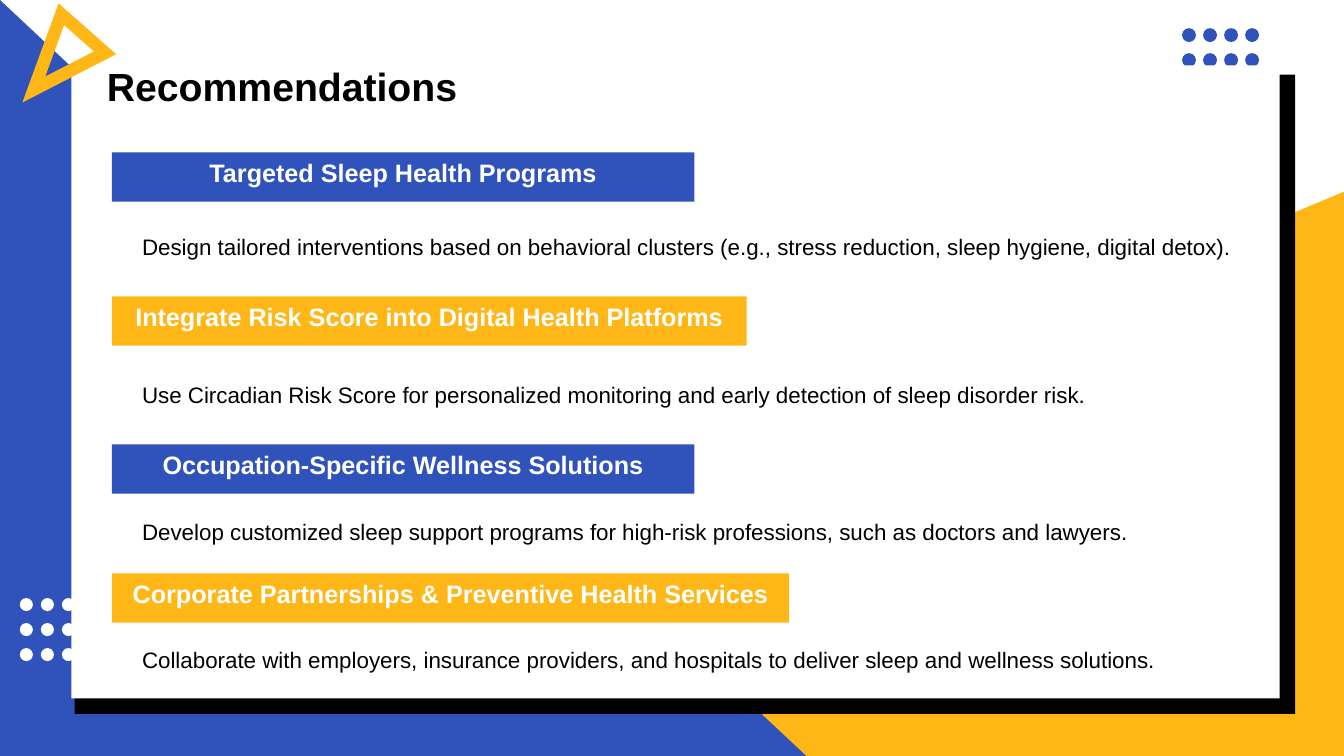
from lxml.etree import SubElement
from pptx import Presentation
from pptx.dml.color import RGBColor
from pptx.enum.shapes import MSO_SHAPE
from pptx.enum.text import MSO_ANCHOR, MSO_AUTO_SIZE, PP_ALIGN
from pptx.oxml.ns import qn
from pptx.util import Cm, Pt

BLUE = RGBColor(0x2F, 0x53, 0xBA)
YELLOW = RGBColor(0xFF, 0xB7, 0x17)
WHITE = RGBColor(0xFF, 0xFF, 0xFF)
BLACK = RGBColor(0x00, 0x00, 0x00)
FONT = "Arial"
SLIDE_WIDTH, SLIDE_HEIGHT = 33.87, 19.05

# heading, banner top, banner width, colour, advice, advice top, advice width
RECOMMENDATIONS = [
    ("Targeted Sleep Health Programs", 3.84, 14.68, BLUE,
     "Design tailored interventions based on behavioral clusters "
     "(e.g., stress reduction, sleep hygiene, digital detox).", 5.74, 28.37),
    ("Integrate Risk Score into Digital Health Platforms", 7.47, 16, YELLOW,
     "Use Circadian Risk Score for personalized monitoring "
     "and early detection of sleep disorder risk.", 9.47, 25.9),
    ("Occupation-Specific Wellness Solutions", 11.2, 14.68, BLUE,
     "Develop customized sleep support programs for high-risk professions, "
     "such as doctors and lawyers.", 12.93, 26.8),
    ("Corporate Partnerships & Preventive Health Services", 14.45, 17.07, YELLOW,
     "Collaborate with employers, insurance providers, and hospitals "
     "to deliver sleep and wellness solutions.", 16.15, 27.2),
]


def paint(shape, colour):
    """Give the shape a flat fill with no outline or shadow."""
    shape.shadow.inherit = False
    shape.fill.solid()
    shape.fill.fore_color.rgb = colour
    shape.line.fill.background()


def add_filled(shapes, kind, left, top, width, height, colour):
    shape = shapes.add_shape(kind, Cm(left), Cm(top), Cm(width), Cm(height))
    paint(shape, colour)
    return shape


def add_corner(slide, points, colour):
    first, *others = [(Cm(x), Cm(y)) for x, y in points]
    builder = slide.shapes.build_freeform(*first)
    builder.add_line_segments(others, close=True)
    paint(builder.convert_to_shape(), colour)


def add_dots(slide, left, top, columns, rows, size, colour):
    group = slide.shapes.add_group_shape()
    for row in range(rows):
        for column in range(columns):
            add_filled(group.shapes, MSO_SHAPE.OVAL, left + column * 0.53,
                       top + row * 0.63, size, size, colour)


def add_panel(slide):
    panel = add_filled(slide.shapes, MSO_SHAPE.RECTANGLE, 1.8, 1.65, 30.45, 15.95, WHITE)
    effects = panel.element.spPr.find(qn("a:effectLst"))
    shadow = SubElement(effects, qn("a:outerShdw"), blurRad="0", dist=str(Pt(7)),
                        dir=str(70 * 60000), sx="101000", sy="101000",
                        algn="tl", rotWithShape="0")
    SubElement(shadow, qn("a:srgbClr"), val=str(BLACK))


def add_triangle(slide):
    triangle = slide.shapes.add_shape(MSO_SHAPE.ISOSCELES_TRIANGLE,
                                      Cm(0.74), Cm(0.61), Cm(1.47), Cm(1.88))
    triangle.shadow.inherit = False
    triangle.rotation = 221.4
    triangle.fill.background()
    triangle.line.color.rgb = YELLOW
    triangle.line.width = Pt(9)
    SubElement(triangle.line._get_or_add_ln(), qn("a:miter"), lim="800000")


def write(shape, text, size, colour, bold=False, align=PP_ALIGN.LEFT, anchor=MSO_ANCHOR.TOP):
    frame = shape.text_frame
    frame.word_wrap = True
    frame.vertical_anchor = anchor
    paragraph = frame.paragraphs[0]
    paragraph.alignment = align
    run = paragraph.add_run()
    run.text = text
    run.font.name = FONT
    run.font.size = Pt(size)
    run.font.bold = bold
    run.font.color.rgb = colour


def add_title(slide, text):
    title = slide.shapes.title
    title.left, title.top, title.width, title.height = Cm(2.44), Cm(1.45), Cm(11.46), Cm(1.45)
    write(title, text, 28, BLACK, bold=True)
    title.text_frame.auto_size = MSO_AUTO_SIZE.SHAPE_TO_FIT_TEXT
    # Bring the title in front of the panel
    title.element.getparent().append(title.element)


def add_banner(slide, text, top, width, colour):
    banner = add_filled(slide.shapes, MSO_SHAPE.RECTANGLE, 2.82, top, width, 1.24, colour)
    write(banner, text, 18, WHITE, bold=True, align=PP_ALIGN.CENTER)


def add_advice(slide, text, top, width):
    box = slide.shapes.add_textbox(Cm(3.33), Cm(top), Cm(width), Cm(0.94))
    write(box, text, 16, BLACK, anchor=MSO_ANCHOR.MIDDLE)
    box.text_frame.auto_size = MSO_AUTO_SIZE.SHAPE_TO_FIT_TEXT


def main():
    presentation = Presentation()
    presentation.slide_width = Cm(SLIDE_WIDTH)
    presentation.slide_height = Cm(SLIDE_HEIGHT)
    slide = presentation.slides.add_slide(presentation.slide_layouts.get_by_name("Title Only"))

    add_corner(slide, [(SLIDE_WIDTH, 4.83), (0, SLIDE_HEIGHT), (SLIDE_WIDTH, SLIDE_HEIGHT)], YELLOW)
    add_corner(slide, [(0, 0), (0, SLIDE_HEIGHT), (20.32, SLIDE_HEIGHT)], BLUE)
    add_dots(slide, 0.5, 15.07, 3, 3, 0.33, WHITE)
    add_dots(slide, 29.79, 0.71, 4, 2, 0.35, BLUE)
    add_panel(slide)
    add_title(slide, "Recommendations")
    add_triangle(slide)
    for heading, top, width, colour, advice, advice_top, advice_width in RECOMMENDATIONS:
        add_advice(slide, advice, advice_top, advice_width)
        add_banner(slide, heading, top, width, colour)

    presentation.save("out.pptx")


if __name__ == "__main__":
    main()
